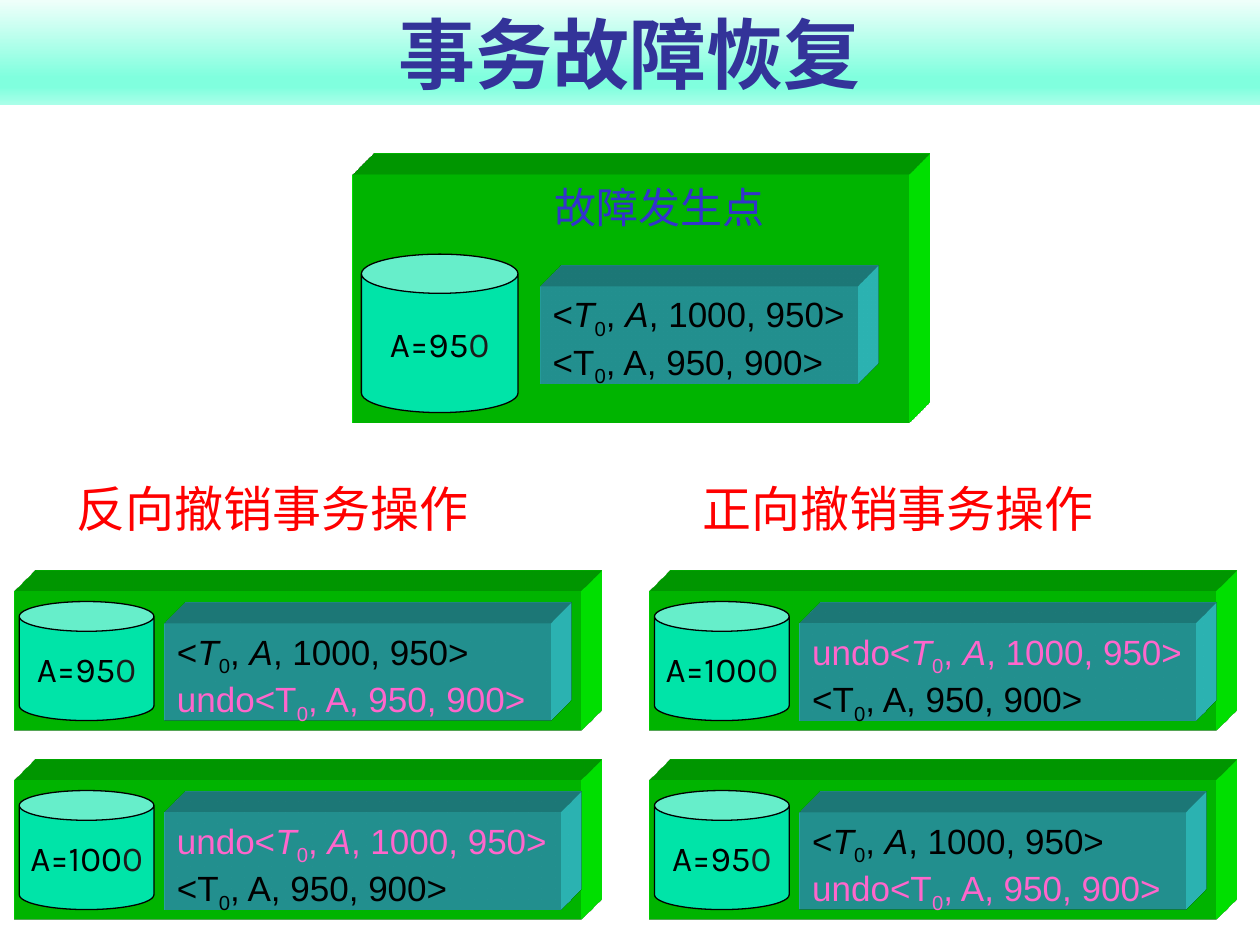
from lxml import etree
from pptx import Presentation
from pptx import util as u
from pptx.dml.color import RGBColor
from pptx.enum import shapes, text
from pptx.oxml import parse_xml
from pptx.oxml.ns import nsdecls

COLORS = {
    "title": "333399", "heading": "FF0000", "failure": "3333CC",
    "slab": "00FF00", "log": "33CCCC", "disk": "00E4A8",
    "black": "000000", "digit": "1C1C1C", "undo": "FF66CC",
}
BANNER_STOPS = [(0, "F1FFFB"), (74, "80FFDE"), (83, "80FFDE"), (100, "AAFFE9")]


def rgb(name):
    return RGBColor.from_string(COLORS[name])


def add_span(para, words, *, font="Karla", size=20, color="black",
             bold=False, italic=False, baseline=0):
    span = para.add_run()
    span.text = words
    span.font.name = font
    span.font.size = u.Pt(size)
    span.font.bold = bold
    span.font.italic = italic
    span.font.color.rgb = rgb(color)
    if baseline:
        span.font._element.set("baseline", str(baseline * 1000))


class Board:
    """Draws on one slide; all lengths are points."""

    def __init__(self, page):
        self.page = page

    def frame(self, box, *, wrap=False, grow=False, anchor="TOP", align="LEFT"):
        body = box.text_frame
        body.word_wrap = wrap
        body.auto_size = (text.MSO_AUTO_SIZE.SHAPE_TO_FIT_TEXT if grow
                          else text.MSO_AUTO_SIZE.NONE)
        body.vertical_anchor = text.MSO_ANCHOR[anchor]
        body.paragraphs[0].alignment = text.PP_ALIGN[align]
        return body

    def solid(self, parent, preset, at, color=None):
        box = parent.shapes.add_shape(shapes.MSO_SHAPE[preset], *map(u.Pt, at))
        box.shadow.inherit = False
        box.line.fill.background()
        if color:
            box.fill.solid()
            box.fill.fore_color.rgb = rgb(color)
        return box

    def banner(self, at, words):
        box = self.solid(self.page, "RECTANGLE", at)
        stops = "".join(f'<a:gs pos="{place * 1000}"><a:srgbClr val="{color}"/></a:gs>'
                        for place, color in BANNER_STOPS)
        box._element.spPr.find("{*}prstGeom").addnext(parse_xml(
            f'<a:gradFill {nsdecls("a")} rotWithShape="1"><a:gsLst>{stops}</a:gsLst>'
            '<a:lin ang="5400000" scaled="1"/></a:gradFill>'))
        body = self.frame(box, wrap=True, anchor="BOTTOM", align="CENTER")
        add_span(body.paragraphs[0], words, size=44, color="title", bold=True)

    def label(self, parent, at, words, *, wrap=False, align="LEFT", **style):
        box = parent.shapes.add_textbox(*map(u.Pt, at))
        body = self.frame(box, wrap=wrap, grow=True, align=align)
        add_span(body.paragraphs[0], words, **style)

    def block(self, parent, at, color):
        """A rectangle extruded to the upper right."""
        box = self.solid(parent, "RECTANGLE", at, color)
        scene = (f'<a:scene3d {nsdecls("a")}><a:camera prst="legacyObliqueTopRight"/>'
                 '<a:lightRig rig="legacyFlat3" dir="b"/></a:scene3d>')
        depth = (f'<a:sp3d {nsdecls("a")} extrusionH="430200" prstMaterial="legacyMatte">'
                 '<a:bevelT w="13500" h="13500" prst="angle"/>'
                 '<a:bevelB w="13500" h="13500" prst="angle"/>'
                 f'<a:extrusionClr><a:srgbClr val="{COLORS[color]}"/></a:extrusionClr></a:sp3d>')
        for part in (scene, depth):
            box._element.spPr.append(parse_xml(part))
        return box

    def log(self, parent, at, undone):
        body = self.frame(self.block(parent, at, "log"), grow=True)
        records = [
            [("T", True, 0), ("0", False, -25), (", ", False, 0),
             ("A", True, 0), (", 1000, 950>", False, 0)],
            [("T", False, 0), ("0", False, -25), (", A, 950, 900>", False, 0)],
        ]
        for number, record in enumerate(records):
            para = body.add_paragraph() if number else body.paragraphs[0]
            para.alignment = text.PP_ALIGN.LEFT
            color = "undo" if number == undone else "black"
            opening = "undo<" if number == undone else "<"
            for words, italic, baseline in [(opening, False, 0)] + record:
                add_span(para, words, font="Arial", color=color,
                         italic=italic, baseline=baseline)

    def disk(self, parent, at, value):
        box = self.solid(parent, "CAN", at, "disk")
        box.adjustments[0] = 0.25
        box.line.color.rgb = rgb("black")
        box.line.width = u.Pt(0.75)
        body = self.frame(box, anchor="MIDDLE", align="CENTER")
        add_span(body.paragraphs[0], f"A={value}"[:-1])
        add_span(body.paragraphs[0], f"{value}"[-1], color="digit")

    def state(self, slab, log, disk, value, undone=None):
        group = self.page.shapes.add_group_shape()
        self.block(group, slab, "slab")
        self.log(group, log, undone)
        self.disk(group, disk, value)
        return group


def main():
    deck = Presentation()
    deck.slide_width, deck.slide_height = u.Pt(720), u.Pt(540)
    board = Board(deck.slides.add_slide(deck.slide_layouts[6]))
    board.banner((0, -0.5, 720, 60.5), "事务故障恢复")

    # State when the failure happens
    failure = board.state((201.5, 100, 317.5, 141.5), (308.75, 163.5, 181.5, 55.5),
                          (206.5, 145.25, 89.5, 90.5), 950)
    board.label(failure, (296, 100, 161.5, 36), "故障发生点", wrap=True,
                align="CENTER", size=24, color="failure")

    # Two undo orders, each with two steps: (value, undone record)
    orders = [("反向撤销事务操作", [(950, 1), (1000, 0)]),
              ("正向撤销事务操作", [(1000, 0), (950, 1)])]
    for column, (heading, steps) in enumerate(orders):
        left = 8.25 + 363 * column
        board.label(board.page, (36.75 + 357.5 * column, 270, 238.5, 41), heading,
                    size=28, color="heading")
        for row, (value, undone) in enumerate(steps):
            top = 338 + 108 * row
            log_width = 226.5 if undone == 0 else 220.5
            board.state((left, top, 323.5, 79.5),
                        (left + 85.75, top + 18.5, log_width, 55.5),
                        (left + 2.75, top + 5.75, 77, 68), value, undone)

    deck.save("out.pptx")


if __name__ == "__main__":
    main()
